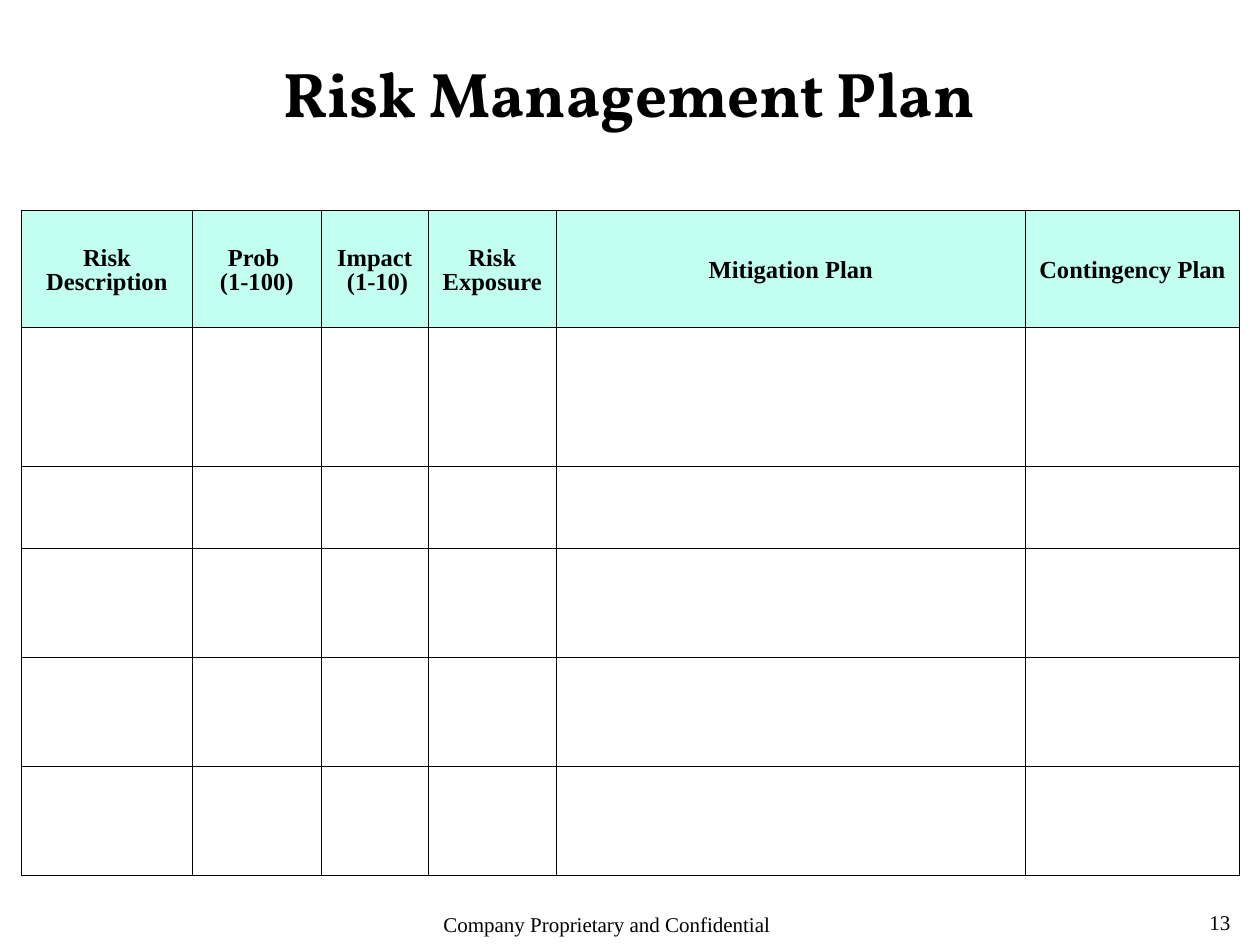
from dataclasses import dataclass

from lxml.etree import SubElement
from pptx import Presentation
from pptx.dml.color import RGBColor
from pptx.enum.text import MSO_ANCHOR, PP_ALIGN
from pptx.oxml.ns import qn
from pptx.util import Cm, Pt

BLACK = RGBColor(0x00, 0x00, 0x00)
MINT = RGBColor(0xC2, 0xFF, 0xF0)
SERIF = "Times New Roman"
HEADS = ["Risk Description", "Prob \n(1-100)", "Impact\n (1-10)",
         "Risk Exposure", "Mitigation Plan", "Contingency Plan"]
WIDTHS = [3.45, 2.59, 2.16, 2.59, 9.45, 4.32]
HEIGHTS = [2.36, 2.8, 1.65] + [2.2] * 3


@dataclass
class Label:
    text: str
    left: float
    top: float
    width: float
    height: float
    size: float = 12
    font: str = SERIF
    bold: bool = False
    align: PP_ALIGN = PP_ALIGN.LEFT


def write(frame, text: str, *, size: float = 12, font: str = SERIF,
          bold: bool = False, align: PP_ALIGN = PP_ALIGN.LEFT,
          spacing: float = 1.0) -> None:
    frame.word_wrap = True
    for index, line in enumerate(text.split("\n")):
        para = frame.paragraphs[0] if index == 0 else frame.add_paragraph()
        para.alignment = align
        para.line_spacing = spacing
        run = para.add_run()
        run.text = line
        run.font.size = Pt(size)
        run.font.name = font
        run.font.bold = bold
        run.font.color.rgb = BLACK


def add_label(slide, label: Label) -> None:
    box = slide.shapes.add_textbox(Cm(label.left), Cm(label.top),
                                   Cm(label.width), Cm(label.height))
    write(box.text_frame, label.text, size=label.size, font=label.font,
          bold=label.bold, align=label.align)


def add_border(cell) -> None:
    props = cell._tc.get_or_add_tcPr()
    for index, side in enumerate(("lnL", "lnR", "lnT", "lnB")):
        line = SubElement(props, qn(f"a:{side}"), w=str(Pt(0.45)))
        fill = SubElement(line, qn("a:solidFill"))
        SubElement(fill, qn("a:srgbClr"), val=str(BLACK))
        props.insert(index, line)


def add_grid(slide) -> None:
    table = slide.shapes.add_table(
        len(HEIGHTS), len(WIDTHS), Cm(0.43), Cm(4.24),
        Cm(sum(WIDTHS)), Cm(sum(HEIGHTS))).table
    table.first_row = False
    table.horz_banding = False
    for column, width in zip(table.columns, WIDTHS):
        column.width = Cm(width)
    for row, height in zip(table.rows, HEIGHTS):
        row.height = Cm(height)
        for cell in row.cells:
            cell.fill.background()
    for cell, head in zip(table.rows[0].cells, HEADS):
        cell.fill.solid()
        cell.fill.fore_color.rgb = MINT
        cell.vertical_anchor = MSO_ANCHOR.MIDDLE
        cell.margin_top = Cm(0.23)
        cell.margin_bottom = Cm(0.13)
        write(cell.text_frame, head, size=14, bold=True,
              align=PP_ALIGN.CENTER, spacing=0.87)
    for cell in table.iter_cells():
        add_border(cell)


def main() -> None:
    deck = Presentation()
    deck.slide_width = Cm(25.4)
    deck.slide_height = Cm(19.05)
    slide = deck.slides.add_slide(deck.slide_layouts[6])
    add_grid(slide)
    labels = [
        Label("Risk Management Plan", 5.38, 0.97, 14.6, 1.78, size=36,
              font="Vollkorn", bold=True, align=PP_ALIGN.CENTER),
        Label("13", 24.13, 18.21, 1.27, 0.84),
        Label("Company Proprietary and Confidential", 8.69, 18.26, 8.03, 0.79),
    ]
    for label in labels:
        add_label(slide, label)
    deck.save("out.pptx")


if __name__ == "__main__":
    main()
